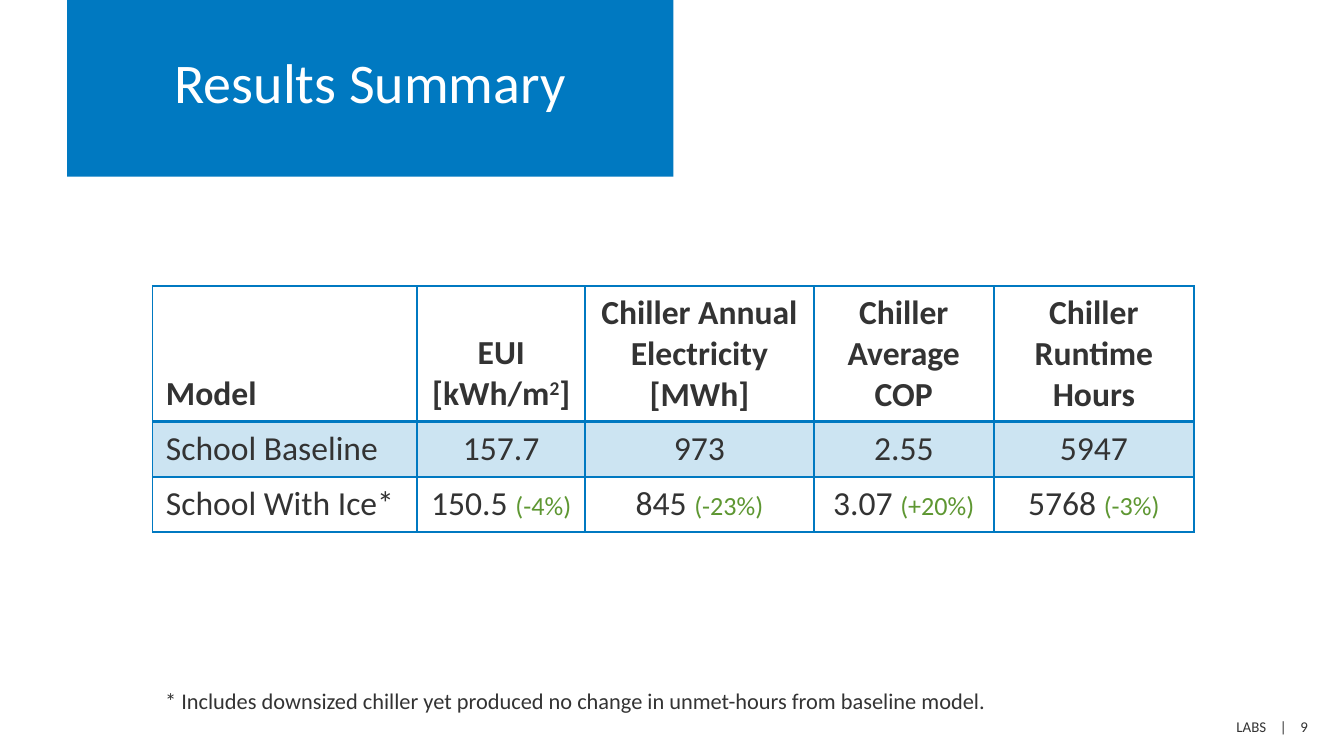
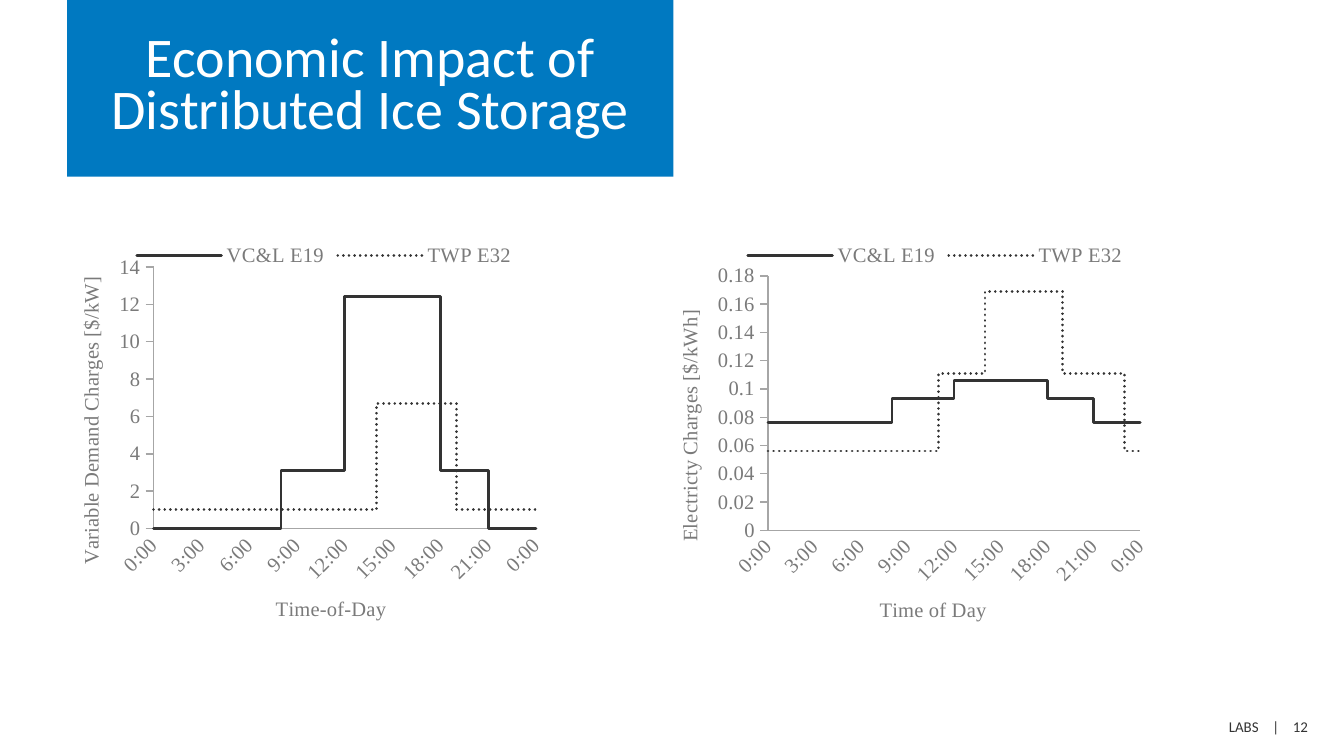
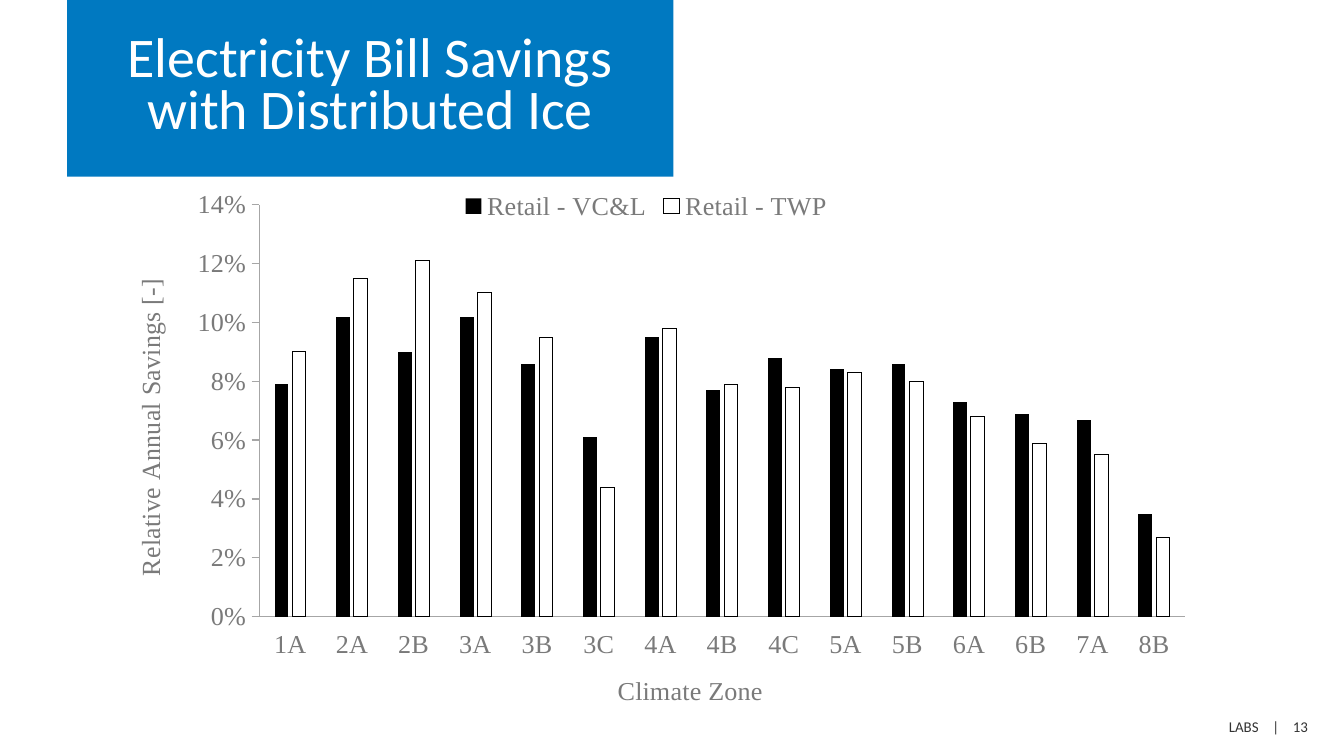
from lxml import etree
from pptx import Presentation
from pptx import util as u
from pptx.chart import data as chart_data
from pptx.dml.color import RGBColor
from pptx.enum import chart as charts, dml, text
from pptx.oxml.ns import qn

COLORS = {
    "blue": "0079C1",
    "ink": "333333",
    "green": "5E9732",
    "label": "7A7A7A",
    "axis": "A6A6A6",
    "black": "000000",
    "white": "FFFFFF",
}
SANS = "Calibri"
SERIF = "Times New Roman"
WIDTH = u.Inches(10)
HEIGHT = WIDTH * 9 // 16
COLUMN = WIDTH / 20
ROW = HEIGHT / 45
LAB = "LABS"
UTILITIES = ("VC&L", "TWP")

MODEL_COLUMNS = (3.94, 2.5, 3.4, 2.68, 2.98)
MODEL_ROWS = (8.08, 3.28, 3.28)
RAISED = {"raised": True}
CHANGE = {"size": 14, "color": "green"}
MODEL_RESULTS = [
    [
        [[("Model", {})]],
        [[("EUI", {})], [("[kWh/m", {}), ("2", RAISED), ("]", {})]],
        [[("Chiller Annual Electricity [MWh]", {})]],
        [[("Chiller Average COP", {})]],
        [[("Chiller Runtime Hours", {})]],
    ],
    [[[(value, {})]] for value in ("School Baseline", "157.7", "973", "2.55", "5947")],
    [[[("School With Ice*", {})]]]
    + [
        [[(value + " ", {}), (change, CHANGE)]]
        for value, change in (
            ("150.5", "(-4%)"),
            ("845", "(-23%)"),
            ("3.07", "(+20%)"),
            ("5768", "(-3%)"),
        )
    ],
]

TARIFF_HOURS = ((0, 8, 12, 18, 21, 24), (0, 11, 14, 19, 23, 24))
TARIFF_NAMES = (UTILITIES[0] + " E19", UTILITIES[1] + " E32")
DEMAND_LEVELS = ((0, 3.1, 12.4, 3.1, 0), (1, 1, 6.7, 1, 1))
ENERGY_LEVELS = (
    (0.076, 0.093, 0.106, 0.093, 0.076),
    (0.056, 0.111, 0.169, 0.111, 0.056),
)

ZONES = "1A 2A 2B 3A 3B 3C 4A 4B 4C 5A 5B 6A 6B 7A 8B".split()
SAVINGS = (
    (0.079, 0.102, 0.09, 0.102, 0.086, 0.061, 0.095, 0.077,
     0.088, 0.084, 0.086, 0.073, 0.069, 0.067, 0.035),
    (0.09, 0.115, 0.121, 0.11, 0.095, 0.044, 0.098, 0.079,
     0.078, 0.083, 0.08, 0.068, 0.059, 0.055, 0.027),
)


def rgb(name):
    return RGBColor.from_string(COLORS[name])


def grid(column, row, columns, rows):
    return (int(column * COLUMN), int(row * ROW), int(columns * COLUMN), int(rows * ROW))


def set_font(font, size, color, face=SANS, bold=False):
    font.size = u.Pt(size)
    font.color.rgb = rgb(color)
    font.name = face
    font.bold = bold


def add_span(para, words, size=18, color="ink", face=SANS, bold=False,
             raised=False, tracking=0):
    span = para.add_run()
    span.text = words
    set_font(span.font, size, color, face, bold)
    properties = span.font._element
    if raised:
        properties.set("baseline", "30000")
    if tracking:
        properties.set("spc", str(tracking))


def add_box(page, place, wrap=True):
    box = page.shapes.add_textbox(*place)
    box.text_frame.word_wrap = wrap
    return box.text_frame.paragraphs[0]


def add_page(deck, heading, number):
    page = deck.slides.add_slide(deck.slide_layouts[5])
    title = page.shapes.title
    title.left, title.top, title.width, title.height = grid(1, 0, 9.02, 10.52)
    title.fill.solid()
    title.fill.fore_color.rgb = rgb("blue")
    frame = title.text_frame
    frame.auto_size = text.MSO_AUTO_SIZE.NONE
    frame.vertical_anchor = text.MSO_ANCHOR.MIDDLE
    para = frame.paragraphs[0]
    para.alignment = text.PP_ALIGN.CENTER
    para.line_spacing = u.Pt(28)
    add_span(para, heading, size=30, color="white")

    footer = add_box(page, grid(14.68, 42.32, 4.98, 1.92))
    footer.alignment = text.PP_ALIGN.RIGHT
    for words in (LAB, " ", "|", " ", str(number)):
        add_span(footer, words, size=8, tracking=540 if words == " " else 0)
    return page


def add_border(cell, side, width):
    properties = cell._tc.get_or_add_tcPr()
    line = etree.SubElement(properties, qn("a:ln" + side), w=str(u.Pt(width)))
    fill = etree.SubElement(line, qn("a:solidFill"))
    etree.SubElement(fill, qn("a:srgbClr"), val=COLORS["blue"])


def fill_cell(cell, lines, header, shaded, first, above_header):
    frame = cell.text_frame
    for index, spans in enumerate(lines):
        para = frame.add_paragraph() if index else frame.paragraphs[0]
        para.alignment = text.PP_ALIGN.LEFT if first else text.PP_ALIGN.CENTER
        for words, look in spans:
            add_span(para, words, bold=header, **look)
    cell.vertical_anchor = text.MSO_ANCHOR.BOTTOM if header else text.MSO_ANCHOR.TOP
    for side in "LRTB":
        thick = (header and side == "B") or (above_header and side == "T")
        add_border(cell, side, 2 if thick else 1)
    if shaded:
        cell.fill.solid()
        cell.fill.fore_color.rgb = rgb("blue")
        tint = cell._tc.tcPr.find(qn("a:solidFill"))[0]
        etree.SubElement(tint, qn("a:alpha"), val="20000")
    else:
        cell.fill.background()


def add_results(page):
    place = grid(2.27, 17.02, sum(MODEL_COLUMNS), sum(MODEL_ROWS))
    table = page.shapes.add_table(len(MODEL_ROWS), len(MODEL_COLUMNS), *place).table
    table.horz_banding = False
    for column, width in zip(table.columns, MODEL_COLUMNS):
        column.width = int(width * COLUMN)
    for row, height in zip(table.rows, MODEL_ROWS):
        row.height = int(height * ROW)
    for r, values in enumerate(MODEL_RESULTS):
        for c, lines in enumerate(values):
            fill_cell(table.cell(r, c), lines, header=r == 0, shaded=r == 1,
                      first=c == 0, above_header=r == 1)


def set_layout(parent, index, percents):
    for old in parent.findall(qn("c:layout")):
        parent.remove(old)
    layout = etree.Element(qn("c:layout"))
    manual = etree.SubElement(layout, qn("c:manualLayout"))
    if len(percents) == 4:
        etree.SubElement(manual, qn("c:layoutTarget"), val="inner")
    for side in "xy":
        etree.SubElement(manual, qn(f"c:{side}Mode"), val="edge")
    for side, percent in zip("xywh", percents):
        etree.SubElement(manual, qn("c:" + side), val=f"{percent / 100:.3f}")
    parent.insert(index, layout)


def format_axis(axis, title, spot, size, tick, number_format, turn=0):
    axis.has_major_gridlines = False
    axis.major_tick_mark = tick
    axis.minor_tick_mark = charts.XL_TICK_MARK.NONE
    axis.format.line.color.rgb = rgb("axis")
    axis.format.line.width = u.Pt(0.75)
    labels = axis.tick_labels
    set_font(labels.font, size, "label", SERIF)
    labels.number_format = number_format
    labels.number_format_is_linked = False
    frame = axis.axis_title.text_frame
    add_span(frame.paragraphs[0], title, size, "label", SERIF)
    frame._txBody.bodyPr.set("rot", str(turn * 60000))
    set_layout(axis.axis_title._element, 1, spot)


def add_chart(page, kind, place, data, size, plot, x_axis, y_axis, top, step):
    chart = page.shapes.add_chart(kind, *place, data).chart
    chart.has_title = False
    set_font(chart.font, size, "label", SERIF)
    chart.has_legend = True
    chart.legend.position = charts.XL_LEGEND_POSITION.TOP
    chart.legend.include_in_layout = False
    set_font(chart.legend.font, size, "label", SERIF)
    format_axis(chart.category_axis, size=size, tick=charts.XL_TICK_MARK.NONE, **x_axis)
    format_axis(chart.value_axis, size=size, tick=charts.XL_TICK_MARK.OUTSIDE,
                turn=-90, **y_axis)
    chart.value_axis.minimum_scale = 0
    chart.value_axis.maximum_scale = top
    chart.value_axis.major_unit = step
    set_layout(chart._chartSpace.chart.plotArea, 0, plot)
    chart.plots[0].vary_by_categories = False
    return chart


def add_tariff_chart(page, column, levels, plot, legend, x_axis, y_axis, top, step):
    data = chart_data.XyChartData()
    for name, hours, prices in zip(TARIFF_NAMES, TARIFF_HOURS, levels):
        series = data.add_series(name)
        for start, end, price in zip(hours, hours[1:], prices):
            series.add_data_point(start / 24, price)
            series.add_data_point(end / 24, price)
    chart = add_chart(
        page, charts.XL_CHART_TYPE.XY_SCATTER_LINES_NO_MARKERS,
        grid(column, 14, 7.6, 24), data, 11, plot,
        dict(x_axis, number_format="h:mm"),
        dict(y_axis, number_format="General"), top, step,
    )
    set_layout(chart.legend._element, 1, legend)
    times_axis = chart.category_axis
    times_axis.minimum_scale, times_axis.maximum_scale = 0, 1
    times_axis.major_unit = 1 / 8
    labels = times_axis._element.find(qn("c:txPr"))
    labels.find(qn("a:bodyPr")).set("rot", str(-45 * 60000))
    dashes = (dml.MSO_LINE.SOLID, dml.MSO_LINE.ROUND_DOT)
    for series, dash in zip(chart.plots[0].series, dashes):
        series.smooth = False
        series.marker.style = charts.XL_MARKER_STYLE.NONE
        line = series.format.line
        line.color.rgb = rgb("ink")
        line.width = u.Pt(1.5)
        line.dash_style = dash
        series._element.find(qn("c:spPr")).find(qn("a:ln")).set("cap", "rnd")


def add_savings_chart(page):
    data = chart_data.CategoryChartData(number_format="0%")
    data.categories = ZONES
    for utility, values in zip(UTILITIES, SAVINGS):
        data.add_series("Retail - " + utility, values)
    chart = add_chart(
        page, charts.XL_CHART_TYPE.COLUMN_CLUSTERED,
        grid(1, 10.52, 17.24, 32), data, 14, (16.6, 5.3, 79.9, 77.7),
        {"title": "Climate Zone", "spot": (47.1, 93), "number_format": "General"},
        {"title": "Relative Annual Savings [-]", "spot": (5.3, 19.1),
         "number_format": "0%"},
        0.14, 0.02,
    )
    chart.category_axis.tick_label_position = charts.XL_TICK_LABEL_POSITION.LOW
    plot = chart.plots[0]
    plot.gap_width = 219
    plot.overlap = -27
    for series, color in zip(plot.series, ("black", "white")):
        series.invert_if_negative = False
        series.format.fill.solid()
        series.format.fill.fore_color.rgb = rgb(color)
    outline = plot.series[1].format.line
    outline.color.rgb = rgb("black")
    outline.width = u.Pt(0)


def main():
    deck = Presentation()
    deck.slide_width, deck.slide_height = WIDTH, HEIGHT

    page = add_page(deck, "Results Summary", 9)
    add_results(page)
    note = add_box(page, grid(2.26, 40.54, 12.84, 2.4), wrap=False)
    add_span(note, "* Includes downsized chiller yet produced no change in "
             "unmet-hours from baseline model.", size=12)

    page = add_page(deck, "Economic Impact of Distributed Ice Storage", 12)
    add_tariff_chart(
        page, 1, DEMAND_LEVELS, (16.9, 7.9, 74.9, 64.9), (12.3, 1),
        {"title": "Time-of-Day", "spot": (40.1, 88.6)},
        {"title": "Variable Demand Charges [$/kW]", "spot": (1.4, 9.3)}, 14, 2,
    )
    add_tariff_chart(
        page, 10, ENERGY_LEVELS, (18.8, 10.1, 72.9, 63.1), (13.5, 1),
        {"title": "Time of Day", "spot": (39.9, 88.7)},
        {"title": "Electricty Charges [$/kWh]", "spot": (0.2, 17.6)}, 0.18, 0.02,
    )

    page = add_page(deck, "Electricity Bill Savings with Distributed Ice", 13)
    add_savings_chart(page)

    deck.save("out.pptx")


if __name__ == "__main__":
    main()
